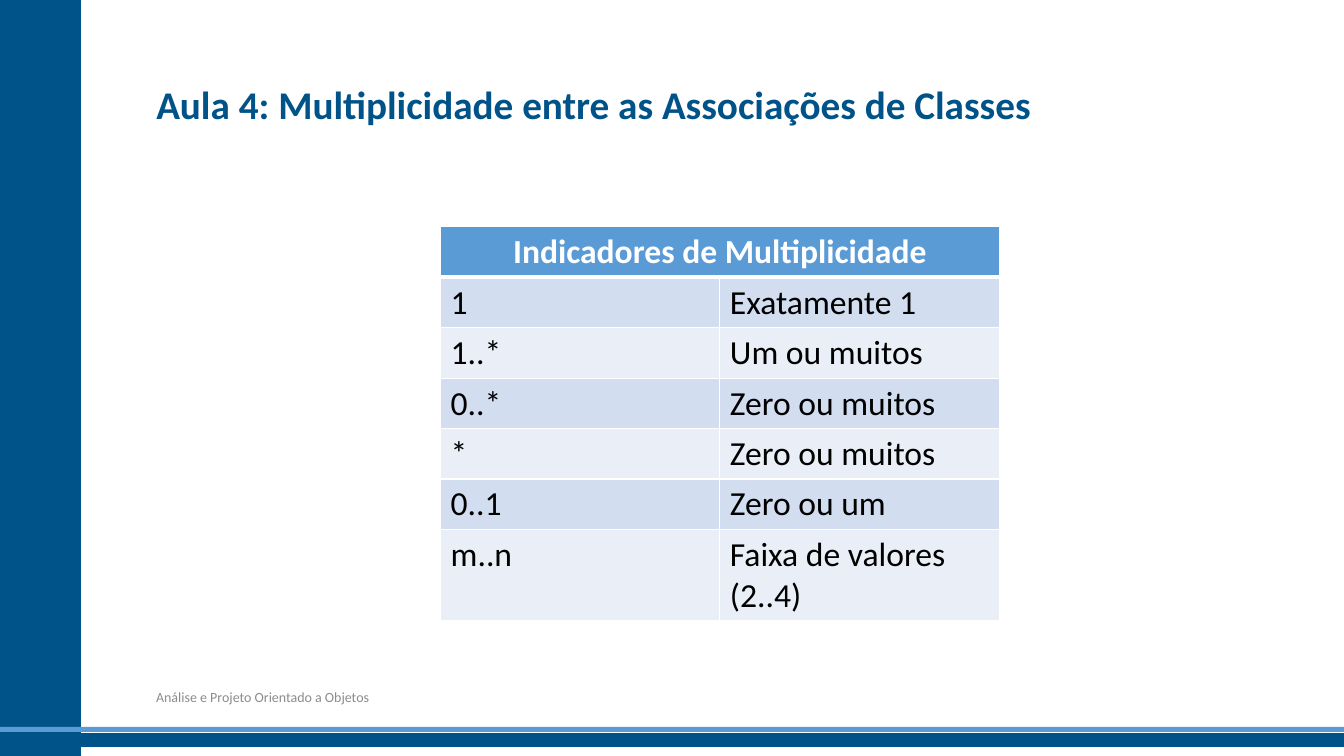
import dataclasses

import lxml.etree
import pptx
import pptx.dml.color
import pptx.enum.shapes
import pptx.enum.text
import pptx.oxml.ns
import pptx.util

Inches = pptx.util.Inches
Pt = pptx.util.Pt
ALIGN = pptx.enum.text.PP_ALIGN
MIDDLE = pptx.enum.text.MSO_ANCHOR.MIDDLE


@dataclasses.dataclass(frozen=True)
class Theme:
    font: str = "Calibri"
    navy: str = "005388"
    blue: str = "5B9BD5"
    bands: tuple = ("D2DEEF", "EAEFF7")
    white: str = "FFFFFF"
    black: str = "000000"
    gray: str = "8C8C8C"
    title_size: int = 28
    table_size: int = 24
    footer_size: int = 10


THEME = Theme()

HEADING = "Indicadores de Multiplicidade"
INDICATORS = [
    ("1", "Exatamente 1"),
    ("1..*", "Um ou muitos"),
    ("0..*", "Zero ou muitos"),
    ("*", "Zero ou muitos"),
    ("0..1", "Zero ou um"),
    ("m..n", "Faixa de valores (2..4)"),
]


def rgb(color):
    return pptx.dml.color.RGBColor.from_string(color)


def write(tf, text, size, color, bold=False, align=ALIGN.LEFT, spacing=None):
    p = tf.paragraphs[0]
    p.alignment = align
    p.line_spacing = spacing
    r = p.add_run()
    r.text = text
    r.font.name = THEME.font
    r.font.size = Pt(size)
    r.font.bold = bold
    r.font.color.rgb = rgb(color)


def place(sp, left, top, width, height):
    sp.left, sp.top = Inches(left), Inches(top)
    sp.width, sp.height = Inches(width), Inches(height)


def add_bar(s, left, top, width, height, color, outlined=True):
    sp = s.shapes.add_shape(
        pptx.enum.shapes.MSO_SHAPE.RECTANGLE,
        Inches(left), Inches(top), Inches(width), Inches(height))
    sp.shadow.inherit = False
    sp.fill.solid()
    sp.fill.fore_color.rgb = rgb(color)
    if outlined:
        sp.line.color.rgb = rgb(color)
        sp.line.width = Pt(1)
    else:
        sp.line.fill.background()


def add_title(s, text):
    sp = s.shapes.title
    place(sp, 1.45, 0.54, 11.51, 1.03)
    tf = sp.text_frame
    tf.auto_size = pptx.enum.text.MSO_AUTO_SIZE.NONE
    tf.vertical_anchor = MIDDLE
    write(tf, text, THEME.title_size, THEME.navy, bold=True, spacing=0.9)


def add_footer(s, text):
    sp = s.shapes.add_textbox(Inches(1.45), Inches(6.71), Inches(11.51), Inches(0.4))
    tf = sp.text_frame
    tf.word_wrap = True
    tf.vertical_anchor = MIDDLE
    write(tf, text, THEME.footer_size, THEME.gray)


def set_borders(cell, bottom=1):
    tc_pr = cell._tc.get_or_add_tcPr()
    qn = pptx.oxml.ns.qn
    for side, width in (("L", 1), ("R", 1), ("T", 1), ("B", bottom)):
        ln = lxml.etree.SubElement(tc_pr, qn(f"a:ln{side}"), w=str(Pt(width)))
        fill = lxml.etree.SubElement(ln, qn("a:solidFill"))
        lxml.etree.SubElement(fill, qn("a:srgbClr"), val=THEME.white)


def format_cell(cell, fill, bottom=1):
    set_borders(cell, bottom)
    cell.fill.solid()
    cell.fill.fore_color.rgb = rgb(fill)


def add_indicators(s, heading, rows):
    count = len(rows) + 1
    frame = s.shapes.add_table(
        count, 2, Inches(4.37), Inches(2.25), Inches(5.54), Inches(0.5 * count))
    table = frame.table
    for cell in table.rows[0].cells:
        format_cell(cell, THEME.blue, bottom=3)
    header = table.cell(0, 0)
    header.merge(table.cell(0, 1))
    write(header.text_frame, heading, THEME.table_size, THEME.white,
          bold=True, align=ALIGN.CENTER)
    for i, row in enumerate(rows):
        for j, text in enumerate(row):
            cell = table.cell(i + 1, j)
            format_cell(cell, THEME.bands[i % 2])
            write(cell.text_frame, text, THEME.table_size, THEME.black)


def main():
    prs = pptx.Presentation()
    prs.slide_width, prs.slide_height = Inches(13.33), Inches(7.5)
    s = prs.slides.add_slide(prs.slide_layouts[5])
    add_bar(s, 0, 0, 0.8, 7.5, THEME.navy)
    add_bar(s, 0, 7.28, 13.33, 0.12, THEME.navy)
    add_bar(s, 0, 7.21, 13.33, 0.05, THEME.blue, outlined=False)
    add_title(s, "Aula 4: Multiplicidade entre as Associações de Classes")
    add_footer(s, "Análise e Projeto Orientado a Objetos")
    add_indicators(s, HEADING, INDICATORS)
    prs.save("out.pptx")


if __name__ == "__main__":
    main()
